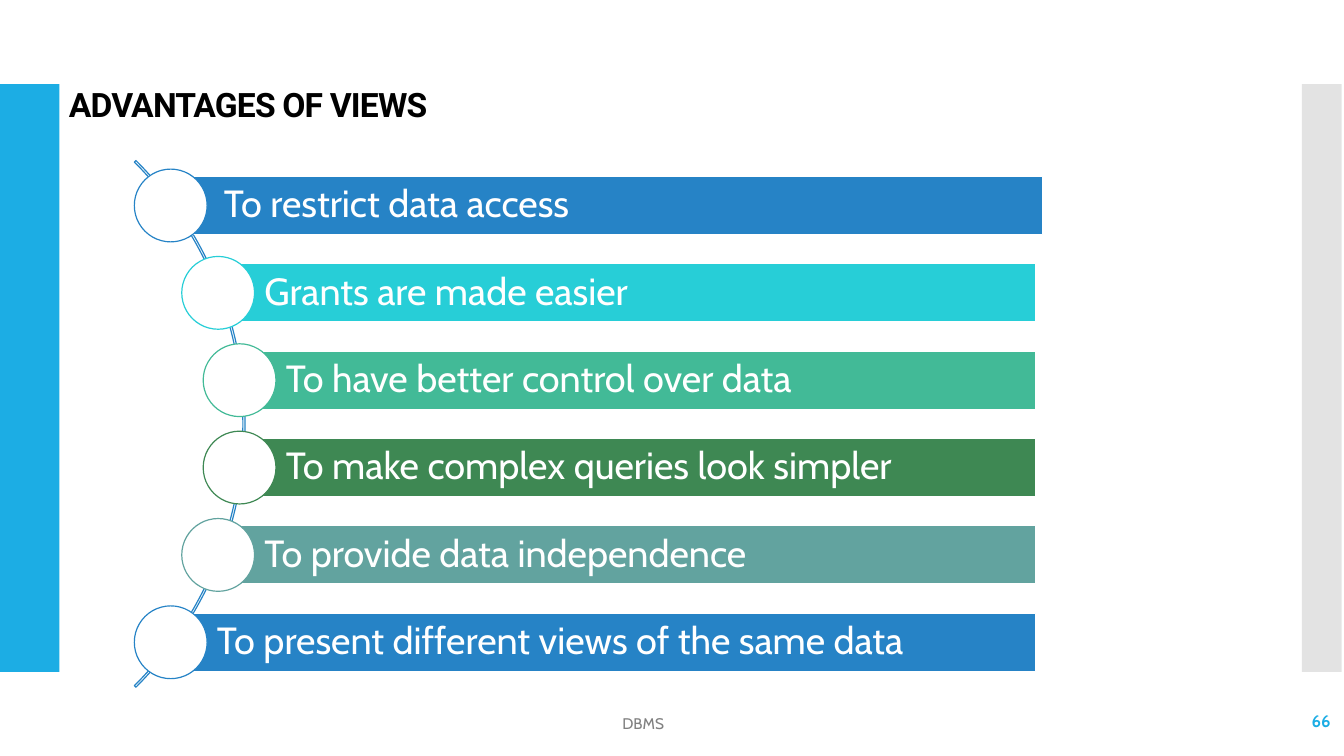
from math import sqrt

from lxml import etree
from pptx import Presentation
from pptx.dml import color
from pptx.enum import shapes, text
from pptx.oxml import ns
from pptx.util import Pt

COLORS = {
    "blue": "2683C6", "cyan": "27CED7", "mint": "42BA97", "green": "3E8853",
    "teal": "62A39F", "sky": "1CADE4", "silver": "C8C8C8", "gray": "808080",
    "white": "FFFFFF", "black": "000000",
}
ADVANTAGES = [
    ("To restrict data access", "blue"),
    ("Grants are made easier", "cyan"),
    ("To have better control over data", "mint"),
    ("To make complex queries look simpler", "green"),
    ("To provide data independence", "teal"),
    ("To present different views of the same data", "blue"),
]


def rgb(name):
    """Return the named colour."""
    return color.RGBColor.from_string(COLORS[name])


def write(frame, words, size, ink, font="Cabin", bold=False, align="LEFT",
          insets=(7.2, 3.6, 7.2, 3.6), line_spacing=None, tracking=None):
    """Write one formatted, vertically centred paragraph into a text frame."""
    frame.word_wrap = True
    frame.auto_size = text.MSO_AUTO_SIZE.NONE
    frame.vertical_anchor = text.MSO_ANCHOR.MIDDLE
    (frame.margin_left, frame.margin_top,
     frame.margin_right, frame.margin_bottom) = map(Pt, insets)
    paragraph = frame.paragraphs[0]
    paragraph.alignment = getattr(text.PP_ALIGN, align)
    paragraph.line_spacing = line_spacing
    run = paragraph.add_run()
    run.text = words
    run.font.name, run.font.size, run.font.bold = font, Pt(size), bold
    run.font.color.rgb = rgb(ink)
    if tracking is not None:
        run._r.get_or_add_rPr().set("spc", str(round(tracking * 100)))


def draw(slide, kind, box, fill=None, line=None, alpha=None):
    """Add a preset shape in a box of points and return it."""
    shape = slide.shapes.add_shape(getattr(shapes.MSO_SHAPE, kind), *map(Pt, box))
    shape.shadow.inherit = False
    if fill:
        shape.fill.solid()
        shape.fill.fore_color.rgb = rgb(fill)
    else:
        shape.fill.background()
    if alpha:
        tint = shape.fill._xPr.find(".//" + ns.qn("a:srgbClr"))
        etree.SubElement(tint, ns.qn("a:alpha")).set("val", str(alpha * 1000))
    if line:
        shape.line.color.rgb = rgb(line)
        shape.line.width = Pt(0.85)
    else:
        shape.line.fill.background()
    return shape


def add_side_bands(slide, top, height):
    """Draw the coloured bands on the left and right edges."""
    draw(slide, "RECTANGLE", (0, top, 42.5, height), "sky")
    draw(slide, "RECTANGLE", (930, top, 28.4, height), "silver", alpha=50)


def add_title(slide, box):
    """Place and format the title placeholder."""
    title = slide.shapes.title
    title.left, title.top, title.width, title.height = map(Pt, box)
    write(title.text_frame, "ADVANTAGES OF VIEWS", 24, "black", "Roboto",
          bold=True, line_spacing=0.9, tracking=-0.6)


def add_footer(slide, box, words, **style):
    """Place one footer text."""
    footer = slide.shapes.add_textbox(*map(Pt, box))
    write(footer.text_frame, words, **style)


def add_advantages(slide, left, top, size, right):
    """Place the bars and circles along an arc in a square box."""
    arc = draw(slide, "BLOCK_ARC", (left, top, size, size), line="blue")
    for index, value in enumerate((189, 27, 0.0029)):
        arc.adjustments[index] = value
    radius, pitch, bar_height, circle = size / 2 - 2, 62.4, 41.6, 52
    center_x, center_y = left + size / 2, top + size / 2
    for index, (words, tone) in enumerate(ADVANTAGES):
        offset = (index - (len(ADVANTAGES) - 1) / 2) * pitch
        x, y = center_x + sqrt(radius ** 2 - offset ** 2), center_y + offset
        nudge = 5 if index == 0 else 0
        bar = draw(slide, "RECTANGLE",
                   (x + nudge, y - bar_height / 2, right - x, bar_height),
                   tone, "white")
        write(bar.text_frame, words, 27, "white", insets=(33, 5, 5, 5),
              line_spacing=0.9)
        draw(slide, "OVAL", (x - circle / 2, y - circle / 2, circle, circle),
             "white", tone)


def main():
    """Build and save the slide."""
    deck = Presentation()
    deck.slide_width, deck.slide_height = Pt(960), Pt(540)
    slide = deck.slides.add_slide(deck.slide_layouts[5])
    add_side_bands(slide, 60, 420)
    add_title(slide, (42, 62, 752, 29))
    add_footer(slide, (837.5, 500.5, 120, 29), "66", size=12, ink="sky",
               bold=True, align="RIGHT")
    add_footer(slide, (227, 502, 465, 29), "DBMS", size=11, ink="gray",
               align="CENTER")
    add_advantages(slide, -357, 36.8, 532, 739.5)
    deck.save("out.pptx")


if __name__ == "__main__":
    main()
